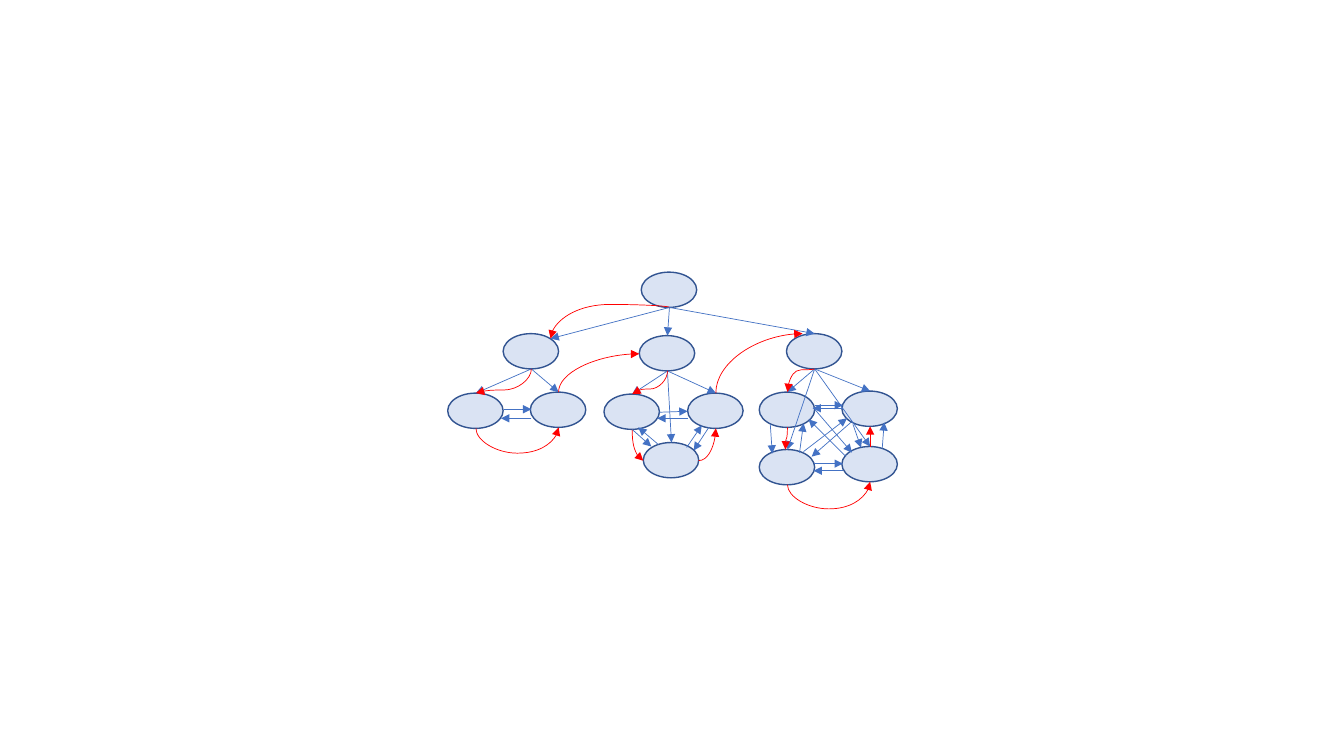
"""Draw a tree of nodes with sibling links and a red traversal route."""
from dataclasses import dataclass
from typing import Optional

from lxml.etree import SubElement
from pptx import Presentation
from pptx.dml.color import RGBColor
from pptx.enum.shapes import MSO_CONNECTOR as Connector, MSO_SHAPE as Shape
from pptx.oxml.ns import qn
from pptx.util import Emu, Pt

EMU_PER_PX = 9144
NODE_WIDTH, NODE_HEIGHT = 55, 35
NODE_FILL, NODE_LINE = "DAE3F3", "325491"
LINK_COLOUR, ROUTE_COLOUR = "4472C4", "FF0000"
Point = tuple[int, int]


@dataclass(frozen=True)
class Node:
    left: int
    top: int

    @property
    def north(self) -> Point:
        return self.left + 28, self.top

    @property
    def south(self) -> Point:
        return self.left + 28, self.top + NODE_HEIGHT

    @property
    def west(self) -> Point:
        return self.left, self.top + 18

    @property
    def east(self) -> Point:
        return self.left + NODE_WIDTH, self.top + 18


@dataclass(frozen=True)
class Curve:
    """A curve that turns at the height bend, or is a quarter turn without one."""
    start: Point
    end: Point
    bend: Optional[int] = None
    starts_vertical: bool = True


ROOT = Node(636, 270)
LEFT, MIDDLE, RIGHT = Node(499, 331), Node(634, 333), Node(780, 331)
LEFT_A, LEFT_B = Node(444, 390), Node(526, 389)
MIDDLE_A, MIDDLE_B, MIDDLE_C = Node(599, 391), Node(638, 439), Node(682, 390)
RIGHT_A, RIGHT_B = Node(753, 389), Node(753, 446)
RIGHT_C, RIGHT_D = Node(835, 443), Node(835, 388)
LEFT_SHOULDER = (546, 336)

CHILDREN = {
    ROOT: [MIDDLE, RIGHT],
    LEFT: [LEFT_A, LEFT_B],
    MIDDLE: [MIDDLE_A, MIDDLE_B, MIDDLE_C],
    RIGHT: [RIGHT_A, RIGHT_B, RIGHT_D, RIGHT_C],
}
NODES = [ROOT, LEFT] + [child for group in CHILDREN.values() for child in group]

ROUTE = [
    Curve(ROOT.south, LEFT_SHOULDER, 302),
    Curve(LEFT.south, LEFT_A.north, 387),
    Curve(LEFT_A.south, LEFT_B.south, 450),
    Curve(LEFT_B.north, MIDDLE.west),
    Curve(MIDDLE.south, MIDDLE_A.north, 386),
    Curve(MIDDLE_A.south, MIDDLE_B.west),
    Curve(MIDDLE_B.east, MIDDLE_C.south, starts_vertical=False),
    Curve(MIDDLE_C.north, (796, 331)),
    Curve(RIGHT.south, RIGHT_A.north, 367),
    Curve(RIGHT_A.south, (779, 446), 435),
    Curve(RIGHT_B.south, RIGHT_C.south, 505),
]

SIBLING_LINKS = [
    ((500, 406), (527, 406)), ((527, 415), (497, 415)),
    ((654, 409), (682, 408)), ((682, 415), (652, 415)),
    ((627, 426), (646, 443)), ((653, 441), (633, 424)),
    ((681, 444), (696, 422)), ((703, 424), (688, 447)),
    ((793, 449), (797, 420)), ((764, 421), (766, 450)),
    ((807, 460), (836, 460)), ((836, 467), (807, 467)),
    ((875, 445), (877, 419)), ((846, 421), (854, 444)),
    ((797, 448), (840, 415)), ((844, 419), (805, 453)),
    ((808, 406), (845, 449)), ((839, 453), (802, 416)),
    ((808, 402), (836, 402)), ((835, 405), (806, 405)),
]


def px(length: float) -> Emu:
    return Emu(round(length * EMU_PER_PX))


def colour(hex_code: str) -> RGBColor:
    return RGBColor.from_string(hex_code)


def draw_node(shapes, node: Node) -> None:
    shape = shapes.add_shape(Shape.OVAL, px(node.left), px(node.top),
                             px(NODE_WIDTH), px(NODE_HEIGHT))
    shape.shadow.inherit = False
    shape.fill.solid()
    shape.fill.fore_color.rgb = colour(NODE_FILL)
    shape.line.color.rgb = colour(NODE_LINE)
    shape.line.width = Pt(1)


def style_arrow(connector, hex_code: str) -> None:
    connector.line.color.rgb = colour(hex_code)
    connector.line.width = Pt(0.5)
    properties = connector.element.spPr
    SubElement(properties.find(qn("a:ln")), qn("a:tailEnd"), type="triangle")
    SubElement(properties, qn("a:effectLst"))


def draw_arrow(shapes, start: Point, end: Point, hex_code: str) -> None:
    connector = shapes.add_connector(Connector.STRAIGHT, *map(px, start + end))
    style_arrow(connector, hex_code)


def draw_curve(shapes, curve: Curve) -> None:
    (start_x, start_y), (end_x, end_y) = curve.start, curve.end
    across, down = end_x - start_x, end_y - start_y
    width, height = abs(across), abs(down)
    flip_h, flip_v = across < 0, down < 0
    if curve.starts_vertical:
        width, height = height, width
        flip_h, flip_v = down < 0, across > 0

    connector = shapes.add_connector(Connector.CURVE, 0, 0, 0, 0)
    connector.left = px((start_x + end_x - width) / 2)
    connector.top = px((start_y + end_y - height) / 2)
    connector.width, connector.height = px(width), px(height)
    properties = connector.element.spPr
    transform = properties.find(qn("a:xfrm"))
    transform.set("rot", "5400000" if curve.starts_vertical else "0")
    transform.set("flipH", str(int(flip_h)))
    transform.set("flipV", str(int(flip_v)))

    geometry = properties.find(qn("a:prstGeom"))
    if curve.bend is None:
        geometry.set("prst", "curvedConnector2")
    else:
        adjustment = round((curve.bend - start_y) / down * 100000)
        SubElement(geometry.find(qn("a:avLst")), qn("a:gd"),
                   name="adj1", fmla=f"val {adjustment}")
    style_arrow(connector, ROUTE_COLOUR)


def main() -> None:
    presentation = Presentation()
    presentation.slide_width, presentation.slide_height = px(1333), px(750)
    slide = presentation.slides.add_slide(presentation.slide_layouts[6])
    shapes = slide.shapes.add_group_shape().shapes
    for node in NODES:
        draw_node(shapes, node)
    for parent, children in CHILDREN.items():
        for child in children:
            draw_arrow(shapes, parent.south, child.north, LINK_COLOUR)
    for curve in ROUTE:
        draw_curve(shapes, curve)
    draw_arrow(shapes, ROOT.south, LEFT_SHOULDER, LINK_COLOUR)
    draw_arrow(shapes, RIGHT_C.north, RIGHT_D.south, ROUTE_COLOUR)
    for start, end in SIBLING_LINKS:
        draw_arrow(shapes, start, end, LINK_COLOUR)
    presentation.save("out.pptx")


if __name__ == "__main__":
    main()
